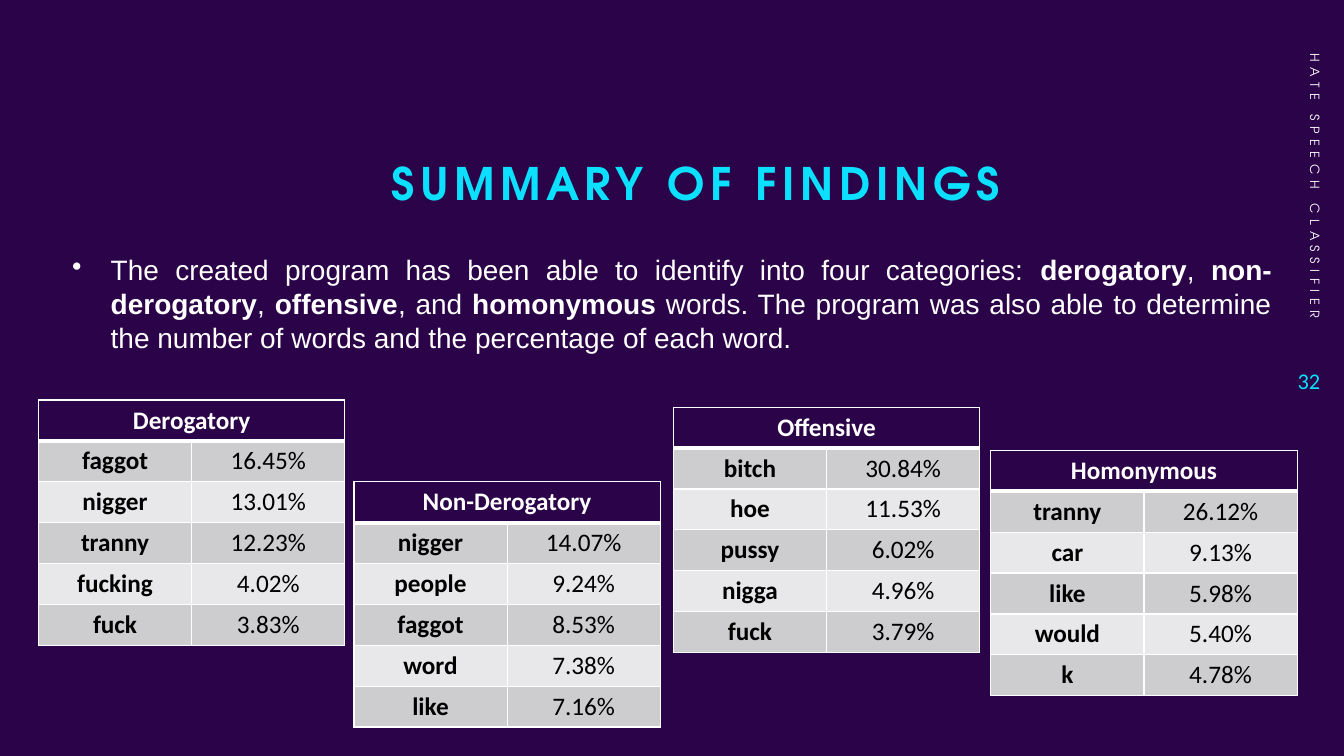
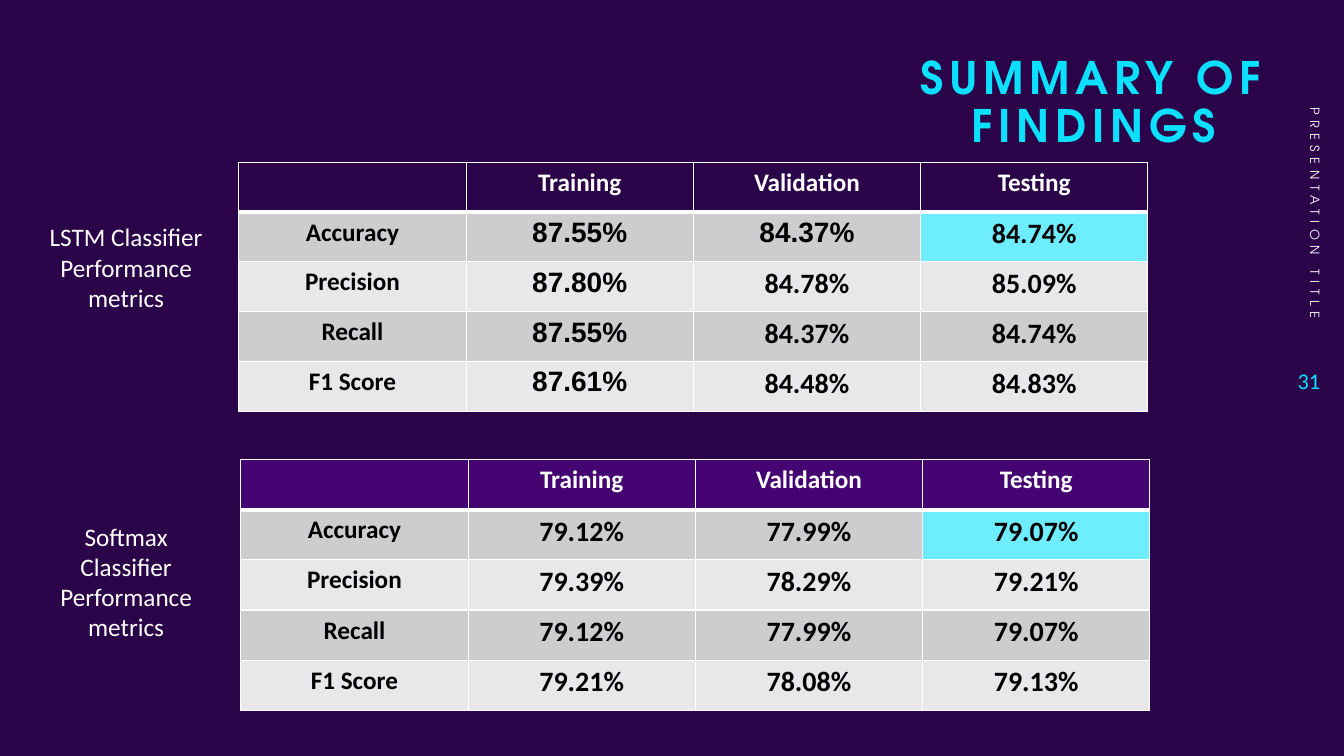
import pptx
import pptx.dml.color
import pptx.enum.text
import pptx.oxml
import pptx.oxml.ns
import pptx.util
from pptx.util import Cm

RGB = pptx.dml.color.RGBColor
ALIGN = pptx.enum.text.PP_ALIGN
ANCHOR = pptx.enum.text.MSO_ANCHOR

# Colours and fonts
NIGHT = RGB(0x2B, 0x03, 0x48)
PURPLE = RGB(0x44, 0x05, 0x72)
CYAN = RGB(0x0B, 0xE1, 0xFF)
PALE = RGB(0x6D, 0xED, 0xFF)
WHITE = RGB(0xFF, 0xFF, 0xFF)
BLACK = RGB(0, 0, 0)
BANDS = (RGB(0xCD, 0xCC, 0xCF), RGB(0xE8, 0xE7, 0xE9))
DISPLAY, SANS, BODY = "TeX Gyre Adventor", "Arial", "Calibri"

# Text formats
TITLE = {"name": DISPLAY, "size": 32, "color": CYAN, "bold": True}
SIDE = {"name": DISPLAY, "size": 9, "color": WHITE}
NUMBER = {"name": BODY, "size": 16, "color": CYAN}
POINT = {"name": SANS, "size": 20, "color": WHITE}
LABEL = {"name": BODY, "size": 18, "color": WHITE}
HEAD = {**LABEL, "bold": True}
CELL = {"name": BODY, "size": 18, "color": BLACK, "bold": False}
STRONG = {**CELL, "bold": True}
VALUE = {**STRONG, "size": 20}

# Content: boxes are left, top, width, height in centimetres
HEADING = "SUMMARY OF FINDINGS"
FINDING = (
    ("The created program has been able to identify into four categories: ", False),
    ("derogatory", True), (", ", False),
    ("non-derogatory", True), (", ", False),
    ("offensive", True), (", and ", False),
    ("homonymous", True),
    (" words. The program was also able to determine the number of words "
     "and the percentage of each word.", False),
)
WORDS = (
    ("Derogatory", 0.97, 10.08,
     (("faggot", "16.45%"), ("nigger", "13.01%"), ("tranny", "12.23%"),
      ("fucking", "4.02%"), ("fuck", "3.83%"))),
    ("Non-Derogatory", 8.92, 12.14,
     (("nigger", "14.07%"), ("people", "9.24%"), ("faggot", "8.53%"),
      ("word", "7.38%"), ("like", "7.16%"))),
    ("Offensive", 16.97, 10.26,
     (("bitch", "30.84%"), ("hoe", "11.53%"), ("pussy", "6.02%"),
      ("nigga", "4.96%"), ("fuck", "3.79%"))),
    ("Homonymous", 24.97, 11.35,
     (("tranny", "26.12%"), ("car", "9.13%"), ("like", "5.98%"),
      ("would", "5.40%"), ("k", "4.78%"))),
)
STAGES = ("", "Training", "Validation", "Testing")
METRICS = ("Accuracy", "Precision", "Recall", "F1 Score")
MODELS = (
    {"label": "LSTM Classifier Performance metrics",
     "place": (0.97, 5.46, 4.42, 2.57), "box": (6.02, 4.09, 22.91, 6.27),
     "head": NIGHT, "sans": {(1, 1), (2, 1), (3, 1), (4, 1), (1, 2)},
     "values": (("87.55%", "84.37%", "84.74%"), ("87.80%", "84.78%", "85.09%"),
                ("87.55%", "84.37%", "84.74%"), ("87.61%", "84.48%", "84.83%"))},
    {"label": "Softmax Classifier Performance metrics",
     "place": (0.97, 13, 4.42, 3.33), "box": (6.07, 11.58, 22.91, 6.32),
     "head": PURPLE, "sans": set(),
     "values": (("79.12%", "77.99%", "79.07%"), ("79.39%", "78.29%", "79.21%"),
                ("79.12%", "77.99%", "79.07%"), ("79.21%", "78.08%", "79.13%"))},
)


def style(font, form):
    for key, value in form.items():
        if key == "color":
            font.color.rgb = value
        else:
            setattr(font, key, pptx.util.Pt(value) if key == "size" else value)


def write(para, text, form, align, track=0):
    run = para.add_run()
    run.text = text
    style(run.font, form)
    para.alignment = align
    if track:
        run.font._element.set("spc", str(track * 100))


def add_text(slide, box, text, form, align, anchor=ANCHOR.TOP, track=0):
    shape = slide.shapes.add_textbox(*map(Cm, box))
    frame = shape.text_frame
    frame.word_wrap = True
    frame.vertical_anchor = anchor
    write(frame.paragraphs[0], text, form, align, track)
    return shape


def add_slide(deck, box, side, number):
    slide = deck.slides.add_slide(deck.slide_layouts[5])
    # Title
    title = slide.shapes.title
    title.left, title.top, title.width, title.height = map(Cm, box)
    frame = title.text_frame
    frame.word_wrap = True
    frame.auto_size = pptx.enum.text.MSO_AUTO_SIZE.NONE
    frame.vertical_anchor = ANCHOR.TOP
    para = frame.paragraphs[0]
    para.line_spacing = 0.9
    write(para, HEADING, TITLE, ALIGN.CENTER, 4)
    # Side text and slide number
    strip = add_text(slide, (29.29, 3.91, 7.7, 1.02), side, SIDE,
                     ALIGN.RIGHT, ANCHOR.MIDDLE, 4)
    strip.rotation = 90
    add_text(slide, (32, 8.79, 1.52, 1.6), number, NUMBER,
             ALIGN.RIGHT, ANCHOR.MIDDLE)
    return slide


def add_edges(cell, row):
    props = cell._tc.get_or_add_tcPr()
    thick = {"T": row == 1, "B": row == 0}
    for edge in "LRTB":
        width = pptx.util.Pt(3 if thick.get(edge) else 1)
        props.append(pptx.oxml.parse_xml(
            f'<a:ln{edge} {pptx.oxml.ns.nsdecls("a")} w="{width}"><a:solidFill>'
            f'<a:srgbClr val="{WHITE}"/></a:solidFill></a:ln{edge}>'))


def add_grid(slide, box, rows, head, form):
    """form(row, col) gives the text format of a body cell."""
    table = slide.shapes.add_table(len(rows), len(rows[0]), *map(Cm, box)).table
    for r, row in enumerate(rows):
        for c, text in enumerate(row):
            cell = table.cell(r, c)
            add_edges(cell, r)
            cell.fill.solid()
            cell.fill.fore_color.rgb = BANDS[(r - 1) % 2] if r else head
            if text:
                write(cell.text_frame.paragraphs[0], text,
                      form(r, c) if r else HEAD, ALIGN.CENTER)
    return table


def add_words(deck):
    slide = add_slide(deck, (3.05, 3.96, 28.98, 1.3), "HATE SPEECH CLASSIFIER", "32")
    # Bulleted finding
    frame = slide.shapes.add_textbox(*map(Cm, (1.57, 6.25, 30.73, 3.66))).text_frame
    frame.word_wrap = True
    para = frame.paragraphs[0]
    props = para._p.get_or_add_pPr()
    props.set("marL", str(Cm(0.97)))
    props.set("indent", str(-Cm(0.97)))
    props.append(pptx.oxml.parse_xml(
        f'<a:buChar {pptx.oxml.ns.nsdecls("a")} char="•"/>'))
    for text, bold in FINDING:
        write(para, text, {**POINT, "bold": bold}, ALIGN.JUSTIFY)
    # One table for each category
    for name, left, top, rows in WORDS:
        table = add_grid(slide, (left, top, 7.72, 6.18), ((name, ""), *rows), NIGHT,
                         lambda r, c: CELL if c else STRONG)
        table.cell(0, 0).merge(table.cell(0, 1))


def add_scores(deck):
    slide = add_slide(deck, (22.4, 1.27, 10.34, 1.3), "PRESENTATION TITLE", "31")
    for model in MODELS:
        def form(r, c):
            if not c:
                return STRONG
            return {**VALUE, "name": SANS if (r, c) in model["sans"] else BODY}

        rows = [STAGES] + [(m, *v) for m, v in zip(METRICS, model["values"])]
        table = add_grid(slide, model["box"], rows, model["head"], form)
        # Testing accuracy stands out
        table.cell(1, 3).fill.fore_color.rgb = PALE
        add_text(slide, model["place"], model["label"], LABEL, ALIGN.CENTER)


def main():
    deck = pptx.Presentation()
    deck.slide_width, deck.slide_height = Cm(33.87), Cm(19.05)
    back = deck.slide_master.background.fill
    back.solid()
    back.fore_color.rgb = NIGHT
    add_words(deck)
    add_scores(deck)
    deck.save("out.pptx")


if __name__ == "__main__":
    main()
